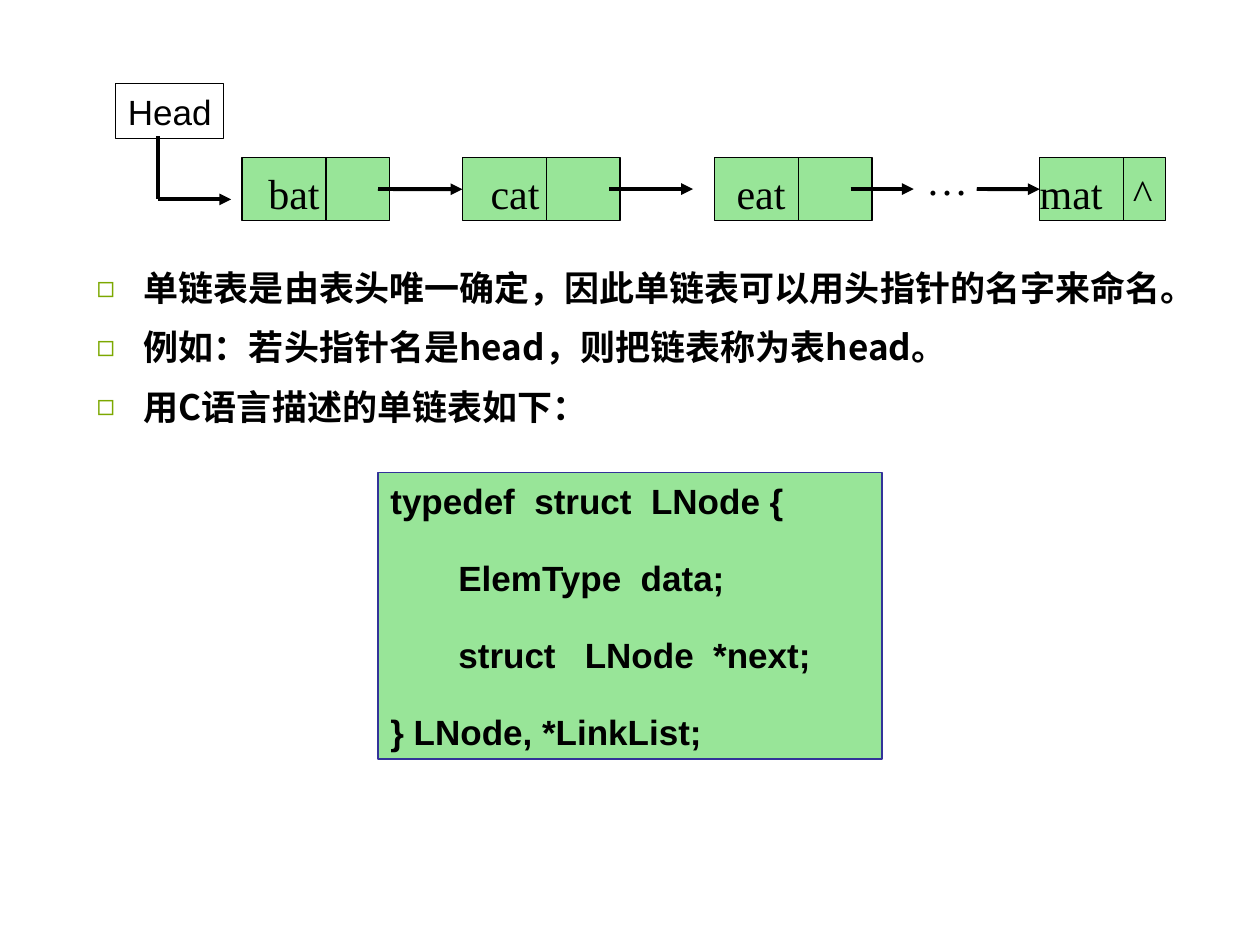
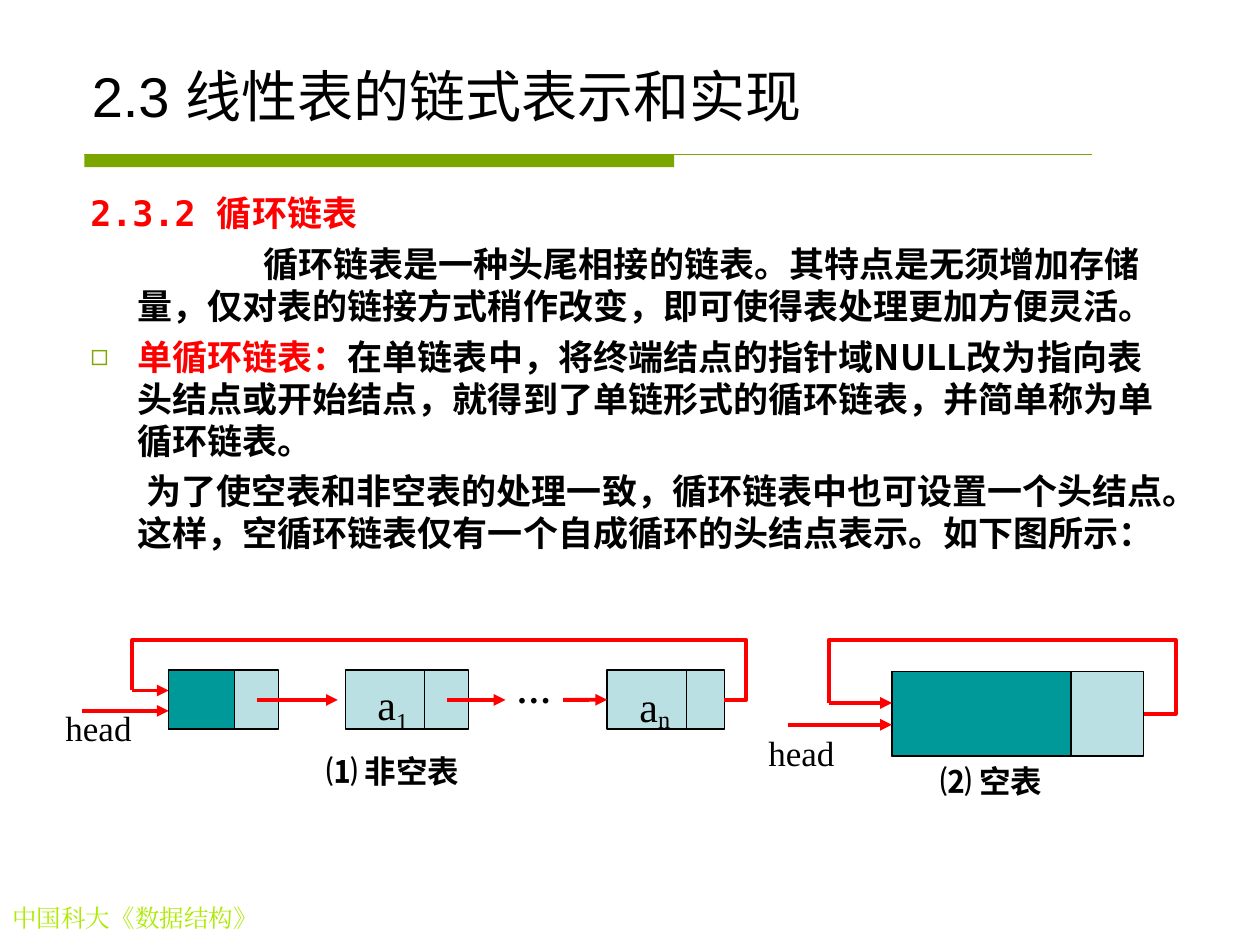
from dataclasses import dataclass

from lxml import etree
from pptx import Presentation
from pptx.dml.color import RGBColor
from pptx.enum import shapes, text
from pptx.oxml import ns
from pptx.util import Cm, Pt


@dataclass(frozen=True)
class Theme:
    ink: str = "000000"
    red: str = "FF0000"
    green: str = "33CC33"
    navy: str = "333399"
    pale: str = "BBE0E3"
    teal: str = "009999"
    band: str = "7BA600"
    bullet: str = "7CA800"
    footer: str = "ADEA00"
    sans: str = "Arial"
    serif: str = "Times New Roman"
    mono: str = "DejaVu Sans Mono"
    chinese: str = "Noto Sans CJK SC"
    title_size: int = 32
    node_size: int = 24
    body_size: int = 20
    caption_size: int = 18
    footer_size: int = 14
    thin: float = 0.75
    thick: float = 2.25


T = Theme()


def add_xml(parent, tag, **attributes):
    return etree.SubElement(parent, ns.qn(tag), attributes)


def style_run(run, font, size, color=T.ink, bold=False):
    run.font.size = Pt(size)
    run.font.bold = bold
    run.font.color.rgb = RGBColor.from_string(color)
    run.font.name = font
    add_xml(run._r.get_or_add_rPr(), "a:ea", typeface=font)


def place(shape, left, top, width, height):
    shape.left, shape.top, shape.width, shape.height = map(Cm, (left, top, width, height))


def set_frame(frame, insets=(0.25, 0.13, 0.25, 0.13), anchor=text.MSO_ANCHOR.TOP, wrap=True):
    frame.auto_size = text.MSO_AUTO_SIZE.NONE
    frame.word_wrap = wrap
    frame.vertical_anchor = anchor
    (frame.margin_left, frame.margin_top,
     frame.margin_right, frame.margin_bottom) = map(Cm, insets)


def add_label(slide, words, box, font=T.serif, size=T.body_size, color=T.ink,
              bold=False, align=text.PP_ALIGN.LEFT):
    label = slide.shapes.add_textbox(*map(Cm, box))
    set_frame(label.text_frame)
    label.text_frame.text = words
    paragraph = label.text_frame.paragraphs[0]
    paragraph.alignment = align
    style_run(paragraph.runs[0], font, size, color, bold)


def add_rect(slide, box, fill=None, line=T.ink, alpha=None):
    rect = slide.shapes.add_shape(shapes.MSO_SHAPE.RECTANGLE, *map(Cm, box))
    rect.shadow.inherit = False
    if fill:
        rect.fill.solid()
        rect.fill.fore_color.rgb = RGBColor.from_string(fill)
        if alpha:
            color = rect._element.spPr.find(".//" + ns.qn("a:srgbClr"))
            add_xml(color, "a:alpha", val=str(alpha * 1000))
    else:
        rect.fill.background()
    if line:
        rect.line.color.rgb = RGBColor.from_string(line)
        rect.line.width = Pt(T.thin)
    else:
        rect.line.fill.background()
    return rect


def add_line(slide, start, end, color=T.ink, width=T.thin, arrow=False, target=None):
    line = slide.shapes.add_connector(
        shapes.MSO_CONNECTOR.STRAIGHT, *map(Cm, (*start, *end)))
    if target is not None:
        line.end_connect(target, 1)
    line.line.color.rgb = RGBColor.from_string(color)
    line.line.width = Pt(width)
    if arrow:
        add_xml(line.line._get_or_add_ln(), "a:tailEnd", type="triangle")
    add_xml(line._element.spPr, "a:effectLst")


def add_arrow(slide, x1, x2, y, color=T.ink, target=None):
    add_line(slide, (x1, y), (x2, y), color, T.thick, True, target)


def add_node(slide, box, data_width, fill, parts=(), inset=0, drop=0, alpha=None):
    left, top, width, height = box
    node = add_rect(slide, box, fill, alpha=alpha)
    divider = left + data_width
    add_line(slide, (divider, top), (divider, top + height))
    set_frame(node.text_frame, (inset, drop, 0, 0), text.MSO_ANCHOR.MIDDLE)
    paragraph = node.text_frame.paragraphs[0]
    paragraph.alignment = text.PP_ALIGN.LEFT
    tabs = add_xml(paragraph._p.get_or_add_pPr(), "a:tabLst")
    add_xml(tabs, "a:tab", pos=str(Cm(1.88)), algn="l")
    for words, baseline in parts:
        run = paragraph.add_run()
        run.text = words
        style_run(run, T.serif, T.node_size)
        if baseline:
            run._r.get_or_add_rPr().set("baseline", str(baseline * 1000))
    return node


def add_loop(slide, points):
    builder = slide.shapes.build_freeform(*map(Cm, points[0]))
    builder.add_line_segments([tuple(map(Cm, point)) for point in points[1:]], close=False)
    loop = builder.convert_to_shape()
    loop.shadow.inherit = False
    loop.fill.background()
    loop.line.color.rgb = RGBColor.from_string(T.red)
    loop.line.width = Pt(T.thick)


def fill_body(body, items, line_spacing=1.0):
    frame = body.text_frame
    set_frame(frame)
    for index, (bulleted, first_line, parts) in enumerate(items):
        paragraph = frame.paragraphs[0] if index == 0 else frame.add_paragraph()
        paragraph.line_spacing = line_spacing
        paragraph.space_before = Pt(5 if index else 0)
        properties = paragraph._p.get_or_add_pPr()
        properties.set("marL", str(Cm(0.95)))
        properties.set("indent", str(Cm(first_line)))
        if bulleted:
            add_xml(add_xml(properties, "a:buClr"), "a:srgbClr", val=T.bullet)
            add_xml(properties, "a:buSzPct", val="85000")
            add_xml(properties, "a:buChar", char="◻")
        else:
            add_xml(properties, "a:buNone")
        for words, font, color in parts:
            run = paragraph.add_run()
            run.text = words
            style_run(run, font, T.body_size, color, True)


def fill_title(title, parts):
    place(title, 1.6, 0.84, 22.23, 1.88)
    set_frame(title.text_frame, anchor=text.MSO_ANCHOR.BOTTOM)
    paragraph = title.text_frame.paragraphs[0]
    paragraph.alignment = text.PP_ALIGN.LEFT
    for words, font in parts:
        run = paragraph.add_run()
        run.text = words
        style_run(run, font, T.title_size)


def add_band_and_footer(slide):
    add_rect(slide, (1.7, 3.12, 11.89, 0.25), T.band, None)
    add_line(slide, (1.7, 3.12), (22.02, 3.12), T.band)
    add_label(slide, "中国科大《数据结构》", (0, 18.08, 7.9, 0.86),
              size=T.footer_size, color=T.footer)


def add_code(slide, box, lines):
    code = add_rect(slide, box, T.green, T.navy, 50)
    set_frame(code.text_frame)
    code.text_frame.text = "\n".join(lines)
    for index, paragraph in enumerate(code.text_frame.paragraphs):
        paragraph.alignment = text.PP_ALIGN.LEFT
        paragraph.space_before = Pt(10 if index else 0)
        paragraph.space_after = Pt(10)
        style_run(paragraph.runs[0], T.sans, T.body_size, bold=True)


def build_singly_linked_list(slide):
    title, body = slide.placeholders
    title._element.getparent().remove(title._element)
    place(body, 1.7, 5.08, 22.99, 4.65)
    sentences = ("单链表是由表头唯一确定，因此单链表可以用头指针的名字来命名。",
                 "例如：若头指针名是head，则把链表称为表head。",
                 "用C语言描述的单链表如下：")
    fill_body(body, [(True, -0.95, [(words, T.chinese, T.ink)]) for words in sentences], 1.2)

    nodes = {}
    for words, left, width, inset in (("bat", 4.88, 2.97, 0.53), ("cat", 9.32, 3.18, 0.57),
                                      ("eat", 14.4, 3.18, 0.45), ("mat\t^", 20.96, 2.54, 0)):
        nodes[words] = add_node(slide, (left, 3.18, width, 1.27), 1.69, T.green,
                                [(words, 0)], inset, 0.15, 50)
    for x1, x2, target in ((7.62, 9.32, nodes["cat"]), (12.28, 13.97, None),
                           (17.15, 18.42, None), (19.69, 20.96, nodes["mat\t^"])):
        add_arrow(slide, x1, x2, 3.81, target=target)
    add_label(slide, "…", (18.42, 2.96, 1.37, 1.27), size=T.node_size)

    head = add_rect(slide, (2.33, 1.69, 2.18, 1.11))
    set_frame(head.text_frame, wrap=False)
    head.text_frame.text = "Head"
    style_run(head.text_frame.paragraphs[0].runs[0], T.sans, T.body_size)
    add_line(slide, (3.18, 2.75), (3.18, 4.02), width=T.thick)
    add_arrow(slide, 3.18, 4.66, 4.02)

    add_code(slide, (7.62, 9.53, 10.16, 5.77),
             ("typedef  struct  LNode {", "       ElemType  data;",
              "       struct   LNode  *next;", "} LNode, *LinkList;"))


def add_head_node(slide, box, data_width):
    left, top, _, height = box
    add_node(slide, box, data_width, T.pale)
    add_rect(slide, (left, top, data_width, height), T.teal)


def add_entry(slide, node_left, head_x, head_y, loop_x, loop_y, exit_x, exit_y, outer_x):
    roof = 12.9
    add_loop(slide, [(exit_x, exit_y), (outer_x, exit_y), (outer_x, roof),
                     (loop_x, roof), (loop_x, loop_y)])
    add_arrow(slide, loop_x, node_left, loop_y, T.red)
    add_arrow(slide, head_x, node_left, head_y, T.red)


def add_caption(slide, words, box):
    add_label(slide, words, box, T.chinese, T.caption_size, bold=True,
              align=text.PP_ALIGN.CENTER)


def build_circular_list(slide):
    add_band_and_footer(slide)
    title, body = slide.placeholders
    fill_title(title, [("2.3 ", T.sans), ("线性表的链式表示和实现", T.chinese)])
    place(body, 1.57, 3.73, 22.23, 13.79)
    fill_body(body, [
        (False, -0.95, [("2.3.2 ", T.mono, T.red), ("循环链表", T.chinese, T.red)]),
        (False, 2.54, [("循环链表是一种头尾相接的链表。其特点是无须增加存储量，"
                        "仅对表的链接方式稍作改变，即可使得表处理更加方便灵活。", T.chinese, T.ink)]),
        (True, -0.95, [("单循环链表：", T.chinese, T.red),
                       ("在单链表中，将终端结点的指针域NULL改为指向表头结点或开始结点，"
                        "就得到了单链形式的循环链表，并简单称为单循环链表。", T.chinese, T.ink)]),
        (False, 0.18, [("为了使空表和非空表的处理一致，循环链表中也可设置一个头结点。"
                        "这样，空循环链表仅有一个自成循环的头结点表示。如下图所示：",
                        T.chinese, T.ink)]),
    ])

    top, height, middle = 13.51, 1.19, 14.11
    add_head_node(slide, (3.4, top, 2.21, height), 1.33)
    add_node(slide, (6.96, top, 2.49, height), 1.6, T.pale, [("a", 0), ("1", -25)], 0.65, 0.3)
    last = add_node(slide, (12.24, top, 2.36, height), 1.6, T.pale,
                    [("a", 0), ("n", -14)], 0.65, 0.3)
    for x1, x2, target in ((5.18, 6.81, None), (9.02, 10.19, None), (11.35, 12.24, last)):
        add_arrow(slide, x1, x2, middle, T.red, target)
    add_entry(slide, 3.4, 1.65, 14.33, 2.67, 13.92, 14.6, middle, 15.04)
    add_label(slide, "…", (10.16, 13.34, 1.22, 1.12), bold=True)
    add_label(slide, "head", (1.07, 14.12, 2.06, 1.12))
    add_caption(slide, "⑴ 非空表", (5.28, 15.04, 5.28, 1.02))

    add_head_node(slide, (17.98, 13.54, 5.08, 1.7), 3.61)
    add_entry(slide, 17.98, 15.88, 14.61, 16.71, 14.17, 23.06, 14.39, 23.7)
    add_label(slide, "head", (15.24, 14.61, 2.06, 1.12))
    add_caption(slide, "⑵ 空表", (17.98, 15.24, 4.01, 1.02))


def main():
    deck = Presentation()
    deck.slide_width, deck.slide_height = Cm(25.4), Cm(19.05)
    for build in (build_singly_linked_list, build_circular_list):
        build(deck.slides.add_slide(deck.slide_layouts[1]))
    deck.save("out.pptx")


if __name__ == "__main__":
    main()
